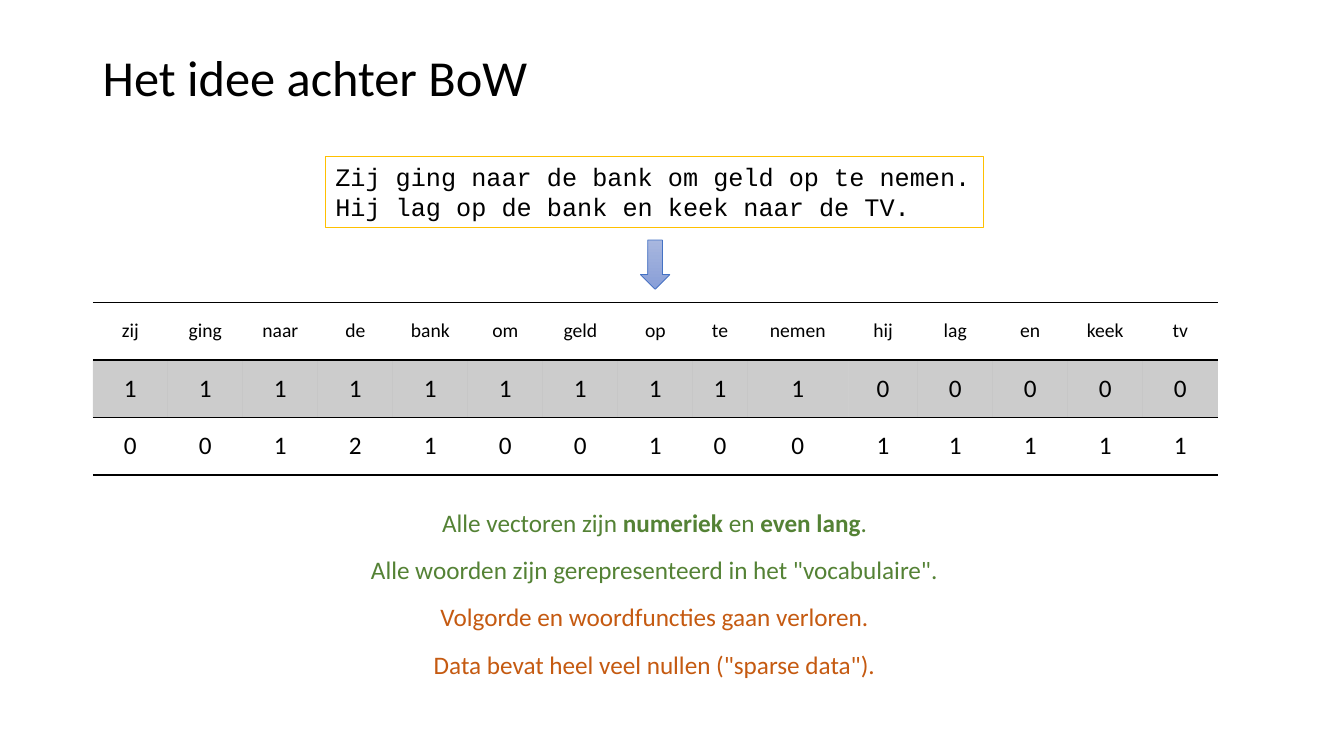
import pptx
import pptx.dml.color
import pptx.enum.shapes
import pptx.enum.text
import pptx.oxml
import pptx.oxml.ns
import pptx.util
from pptx.util import Cm

COLOURS = {
    "text": "000000",
    "paper": "FFFFFF",
    "frame": "FFC000",
    "arrow_top": "A8B7DF",
    "arrow_bottom": "889ED7",
    "arrow_line": "4472C4",
    "advantage": "548235",
    "drawback": "C55A11",
}
CENTER = pptx.enum.text.PP_ALIGN.CENTER
LEFT = pptx.enum.text.PP_ALIGN.LEFT
MIDDLE = pptx.enum.text.MSO_ANCHOR.MIDDLE
NO_STYLE = "{2D5ABB26-0587-4C30-8999-92F81FD0307C}"

SENTENCES = [
    "Zij ging naar de bank om geld op te nemen.",
    "Hij lag op de bank en keek naar de TV.",
]
# Each remark: colour, then runs as (text, bold)
REMARKS = [
    ("advantage", [("Alle vectoren zijn ", False), ("numeriek", True),
                   (" en ", False), ("even lang", True), (".", False)]),
    ("advantage", [('Alle woorden zijn gerepresenteerd in het "vocabulaire".', False)]),
    ("drawback", [("Volgorde en woordfuncties gaan verloren.", False)]),
    ("drawback", [('Data bevat heel veel nullen ("sparse data").', False)]),
]


def rgb(name):
    return pptx.dml.color.RGBColor.from_string(COLOURS[name])


def style(paragraph, size, font="Calibri", colour="text", align=LEFT):
    paragraph.alignment = align
    paragraph.font.size = pptx.util.Pt(size)
    paragraph.font.name = font
    paragraph.font.color.rgb = rgb(colour)


def add_title(slide, text):
    frame = slide.shapes.add_textbox(Cm(2.34), Cm(1.02), Cm(29.21), Cm(2.01)).text_frame
    frame.word_wrap = True
    frame.vertical_anchor = MIDDLE
    frame.text = text
    frame.paragraphs[0].line_spacing = 0.9
    style(frame.paragraphs[0], 36)


def add_sentences(slide):
    box = slide.shapes.add_shape(pptx.enum.shapes.MSO_SHAPE.RECTANGLE,
                                 Cm(8.2), Cm(3.94), Cm(16.59), Cm(1.8))
    box.shadow.inherit = False
    box.fill.solid()
    box.fill.fore_color.rgb = rgb("paper")
    box.line.color.rgb = rgb("frame")
    box.line.width = pptx.util.Pt(1)
    frame = box.text_frame
    frame.word_wrap = False
    frame.vertical_anchor = pptx.enum.text.MSO_ANCHOR.TOP
    frame.text = "\n".join(SENTENCES)
    for sentence in frame.paragraphs:
        style(sentence, 18, font="Courier New")


def add_arrow(slide):
    arrow = slide.shapes.add_shape(pptx.enum.shapes.MSO_SHAPE.DOWN_ARROW,
                                   Cm(16.14), Cm(6.05), Cm(0.74), Cm(1.24))
    arrow.shadow.inherit = False
    arrow.fill.gradient()
    arrow.fill.gradient_angle = 270
    for stop, name, position in zip(arrow.fill.gradient_stops,
                                    ("arrow_top", "arrow_bottom"), (0, 1)):
        stop.color.rgb = rgb(name)
        stop.position = position
    arrow.line.color.rgb = rgb("arrow_line")
    arrow.line.width = pptx.util.Pt(0.5)


def add_border(cell, side):
    """Draw a 1 pt rule; side is lnT or lnB, and lnB must be added first."""
    rule = pptx.oxml.parse_xml(
        f'<a:{side} {pptx.oxml.ns.nsdecls("a")} w="12700"><a:solidFill>'
        f'<a:srgbClr val="{COLOURS["text"]}"/></a:solidFill></a:{side}>')
    cell._tc.get_or_add_tcPr().insert(0, rule)


def shade(cell):
    """Fill a cell with black at 20% opacity."""
    cell.fill.solid()
    cell.fill.fore_color.rgb = rgb("text")
    colour = cell._tc.tcPr.find(".//" + pptx.oxml.ns.qn("a:srgbClr"))
    colour.append(pptx.oxml.parse_xml(
        f'<a:alpha {pptx.oxml.ns.nsdecls("a")} val="20000"/>'))


def add_vectors(slide):
    """Add the table of word counts per sentence."""
    tokens = [sentence.lower().rstrip(".").split() for sentence in SENTENCES]
    vocabulary = list(dict.fromkeys(tokens[0] + tokens[1]))
    rows = [vocabulary] + [[str(words.count(word)) for word in vocabulary]
                           for words in tokens]
    table = slide.shapes.add_table(len(rows), len(vocabulary),
                                   Cm(2.34), Cm(7.62), Cm(28.37), Cm(4.35)).table
    table.first_row = table.horz_banding = False
    table._tbl.tblPr.find(pptx.oxml.ns.qn("a:tableStyleId")).text = NO_STYLE

    special_widths = {"te": 1.37, "nemen": 2.55, "hij": 1.75}
    for column, word in zip(table.columns, vocabulary):
        column.width = Cm(special_widths.get(word, 1.89))
    for r, values in enumerate(rows):
        table.rows[r].height = Cm(1.45)
        for c, value in enumerate(values):
            cell = table.cell(r, c)
            cell.text = value
            cell.vertical_anchor = MIDDLE
            style(cell.text_frame.paragraphs[0], 14 if r == 0 else 18, align=CENTER)
            if r == 1:
                shade(cell)
            else:
                cell.fill.background()
                add_border(cell, "lnB")
            if r < 2:
                add_border(cell, "lnT")


def add_remarks(slide):
    frame = slide.shapes.add_textbox(Cm(8.2), Cm(12.67), Cm(16.59), Cm(4.62)).text_frame
    frame.word_wrap = True
    for i, (colour, runs) in enumerate(REMARKS):
        remark = frame.add_paragraph() if i else frame.paragraphs[0]
        if i:
            remark.space_before = pptx.util.Pt(12)
        style(remark, 18, colour=colour, align=CENTER)
        for text, bold in runs:
            run = remark.add_run()
            run.text = text
            run.font.bold = bold


def main():
    deck = pptx.Presentation()
    deck.slide_width, deck.slide_height = Cm(33.87), Cm(19.05)
    slide = deck.slides.add_slide(deck.slide_layouts[6])
    add_title(slide, "Het idee achter BoW")
    add_sentences(slide)
    add_vectors(slide)
    add_arrow(slide)
    add_remarks(slide)
    deck.save("out.pptx")


if __name__ == "__main__":
    main()
